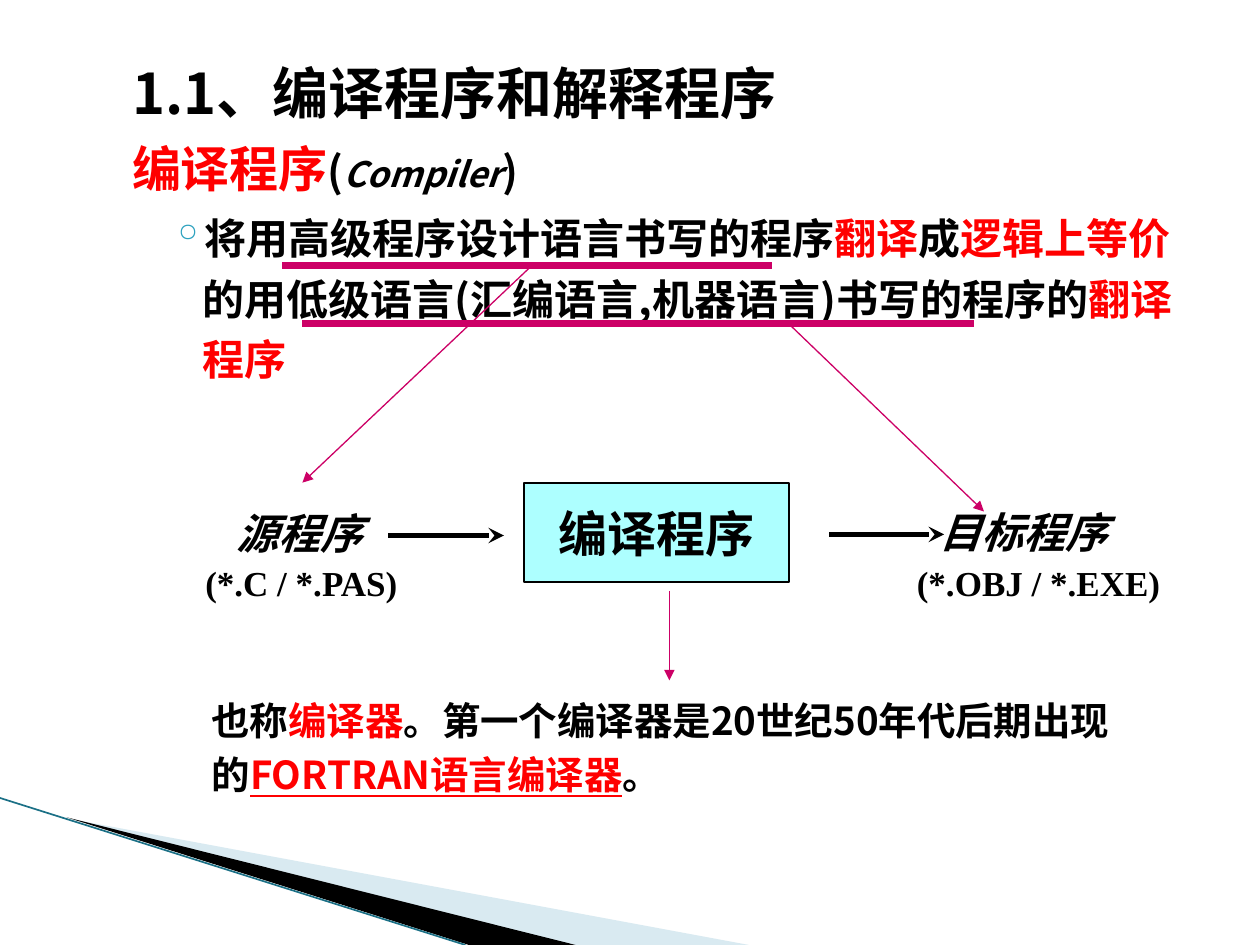
"""Build the slide on compilers and interpreters."""
from dataclasses import dataclass
from lxml.etree import SubElement
from pptx import Presentation
from pptx.dml.color import RGBColor
from pptx.enum.shapes import MSO_CONNECTOR, MSO_SHAPE
from pptx.enum.text import MSO_ANCHOR, PP_ALIGN
from pptx.oxml.ns import qn
from pptx.util import Pt


@dataclass(frozen=True)
class Theme:
    ink: str = "000000"
    red: str = "FF0000"
    magenta: str = "CC0066"
    cyan: str = "ADFFFF"
    pale: str = "A0CBDC"
    edge: str = "1B7086"
    bullet: str = "2DA2BF"
    sans: str = "Noto Sans CJK SC"
    serif: str = "Times New Roman"
    title: int = 32
    head: int = 28
    body: int = 24
    note: int = 22
    small: int = 20


T = Theme()


def add_run(p, text, size=T.body, color=T.ink, font=T.sans, italic=False, underline=False):
    r = p.add_run()
    r.text = text
    r.font.size = Pt(size)
    r.font.name = font
    r.font.bold = True
    r.font.italic = italic
    r.font.underline = underline
    r.font.color.rgb = RGBColor.from_string(color)
    SubElement(r.font._element, qn("a:ea"), typeface=T.sans)


def add_line(x1, y1, x2, y2, color, width, head=None):
    s = shapes.add_connector(MSO_CONNECTOR.STRAIGHT, Pt(x1), Pt(y1), Pt(x2), Pt(y2))
    s.line.color.rgb = RGBColor.from_string(color)
    s.line.width = Pt(width)
    if head:
        SubElement(s.line._get_or_add_ln(), qn("a:tailEnd"), type=head)
    SubElement(s._element.spPr, qn("a:effectLst"))


prs = Presentation()
prs.slide_width, prs.slide_height = Pt(720), Pt(540)
shapes = prs.slides.add_slide(prs.slide_layouts[6]).shapes

wedges = [
    (T.pale, 40, [(39.6, 468.4), (428, 540), (328, 540)]),
    (T.ink, 100, [(38.2, 467.4), (329, 540), (268, 540)]),
]
for color, alpha, points in wedges:
    builder = shapes.build_freeform(*points[0], scale=Pt(1))
    builder.add_line_segments(points[1:])
    s = builder.convert_to_shape()
    s.shadow.inherit = False
    s.line.fill.background()
    s.fill.solid()
    s.fill.fore_color.rgb = RGBColor.from_string(color)
    rgb = s._element.spPr.find(qn("a:solidFill"))[0]
    SubElement(rgb, qn("a:alpha"), val=str(alpha * 1000))
add_line(0, 456, 266, 540, T.edge, 0.95)

tf = shapes.add_textbox(Pt(59.8), Pt(25.9), Pt(623.5), Pt(211)).text_frame
tf.word_wrap = True
paragraphs = [
    (28.8, -20.2, 1.1, 0, [("1.1、编译程序和解释程序", dict(size=T.title))]),
    (28.8, -20.2, 1.1, 4, [
        ("编译程序", dict(size=T.head, color=T.red)),
        ("(", {}),
        ("Compiler", dict(size=T.small, italic=True)),
        (")", {}),
    ]),
    (49, -18, 1.2, 3.2, [
        ("将用高级程序设计语言书写的程序", {}),
        ("翻译", dict(color=T.red)),
        ("成", {}),
        ("逻辑上等价", dict(color=T.red)),
        ("的用低级语言(汇编语言,机器语言)书写的程序的", {}),
        ("翻译程序", dict(color=T.red)),
    ]),
]
for i, (margin, indent, spacing, before, runs) in enumerate(paragraphs):
    p = tf.add_paragraph() if i else tf.paragraphs[0]
    p.line_spacing = spacing
    p.space_before = Pt(before)
    pPr = p._p.get_or_add_pPr()
    pPr.set("marL", str(Pt(margin)))
    pPr.set("indent", str(Pt(indent)))
    for text, style in runs:
        add_run(p, text, **style)
SubElement(SubElement(pPr, qn("a:buClr")), qn("a:srgbClr"), val=T.bullet)
SubElement(pPr, qn("a:buChar"), char="◦")

s = shapes.add_shape(MSO_SHAPE.RECTANGLE, Pt(299.5), Pt(275.8), Pt(151.2), Pt(56.9))
s.shadow.inherit = False
s.fill.solid()
s.fill.fore_color.rgb = RGBColor.from_string(T.cyan)
s.line.color.rgb = RGBColor.from_string(T.ink)
s.line.width = Pt(1)
s.text_frame.vertical_anchor = MSO_ANCHOR.MIDDLE
p = s.text_frame.paragraphs[0]
p.alignment = PP_ALIGN.CENTER
add_run(p, "编译程序", size=T.head, font=T.serif)

labels = [
    ("源程序", 128.2, 286.6, 100, T.body, True),
    ("(*.C / *.PAS)", 110.2, 317.5, 135, T.small, False),
    ("目标程序", 530, 285.8, 139, T.body, True),
    ("(*.OBJ / *.EXE)", 516.8, 317.5, 165, T.small, False),
]
for text, left, top, width, size, italic in labels:
    tf = shapes.add_textbox(Pt(left), Pt(top), Pt(width), Pt(32)).text_frame
    tf.word_wrap = True
    add_run(tf.paragraphs[0], text, size=size, font=T.serif, italic=italic)

for x1, x2, y in [(222, 288, 306), (473.8, 539.5, 305.4)]:
    add_line(x1, y, x2, y, T.ink, 3, "stealth")
for x1, x2, y in [(161.3, 441.2, 151.9), (172.8, 556.6, 185)]:
    add_line(x1, y, x2, y, T.magenta, 4)
for ends in [(303.8, 151.9, 172.8, 275.8), (450.7, 185, 562.3, 292.3), (382.5, 337.7, 382.5, 388.8)]:
    add_line(*ends, T.magenta, 0.75, "triangle")

tf = shapes.add_textbox(Pt(113.8), Pt(390.2), Pt(545.8), Pt(69.8)).text_frame
tf.word_wrap = True
p = tf.paragraphs[0]
p.line_spacing = Pt(31)
for text, style in [
    ("也称", {}),
    ("编译器", dict(color=T.red)),
    ("。第一个编译器是20世纪50年代后期出现的", {}),
    ("FORTRAN语言编译器", dict(color=T.red, underline=True)),
    ("。", {}),
]:
    add_run(p, text, size=T.note, **style)

prs.save("out.pptx")
